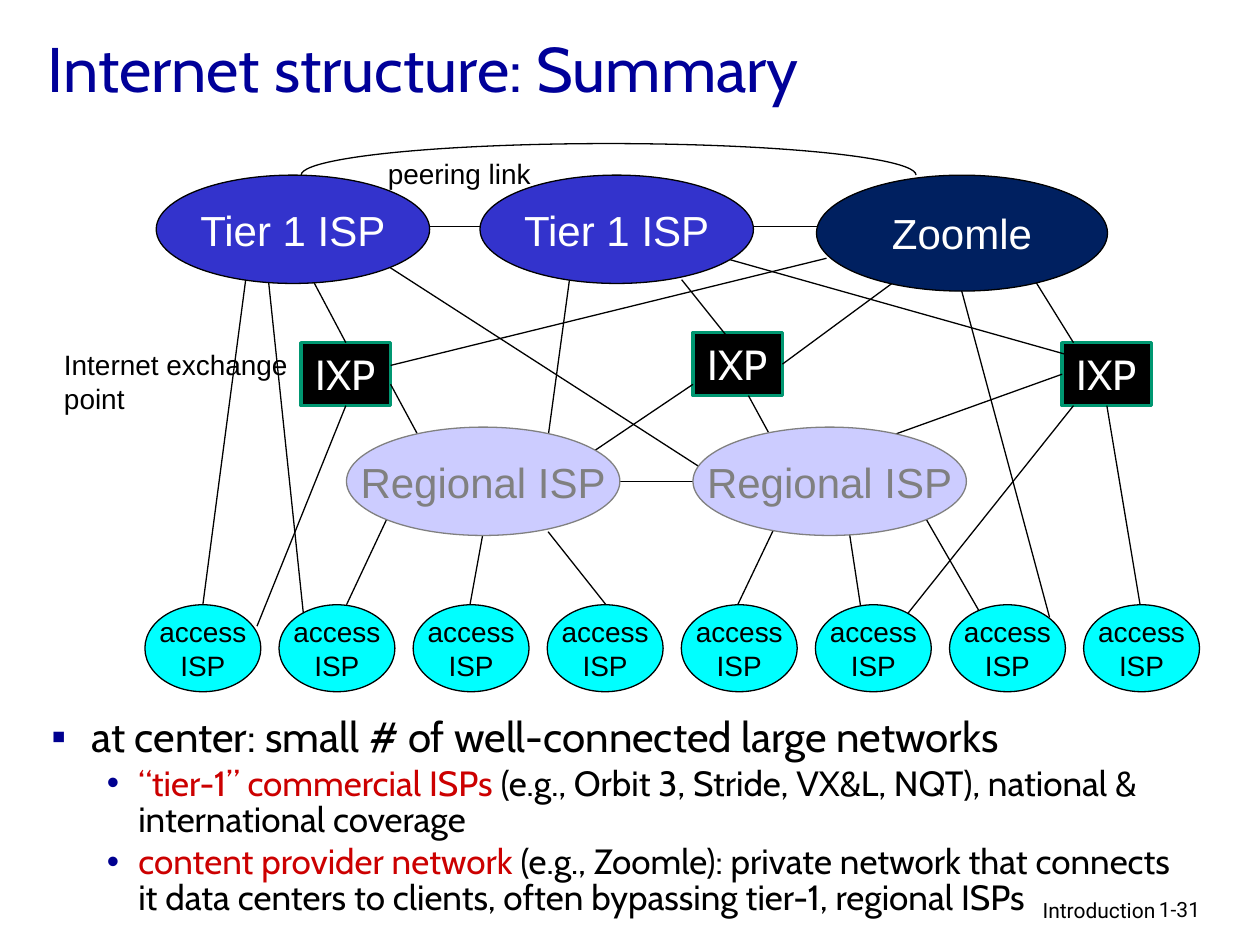
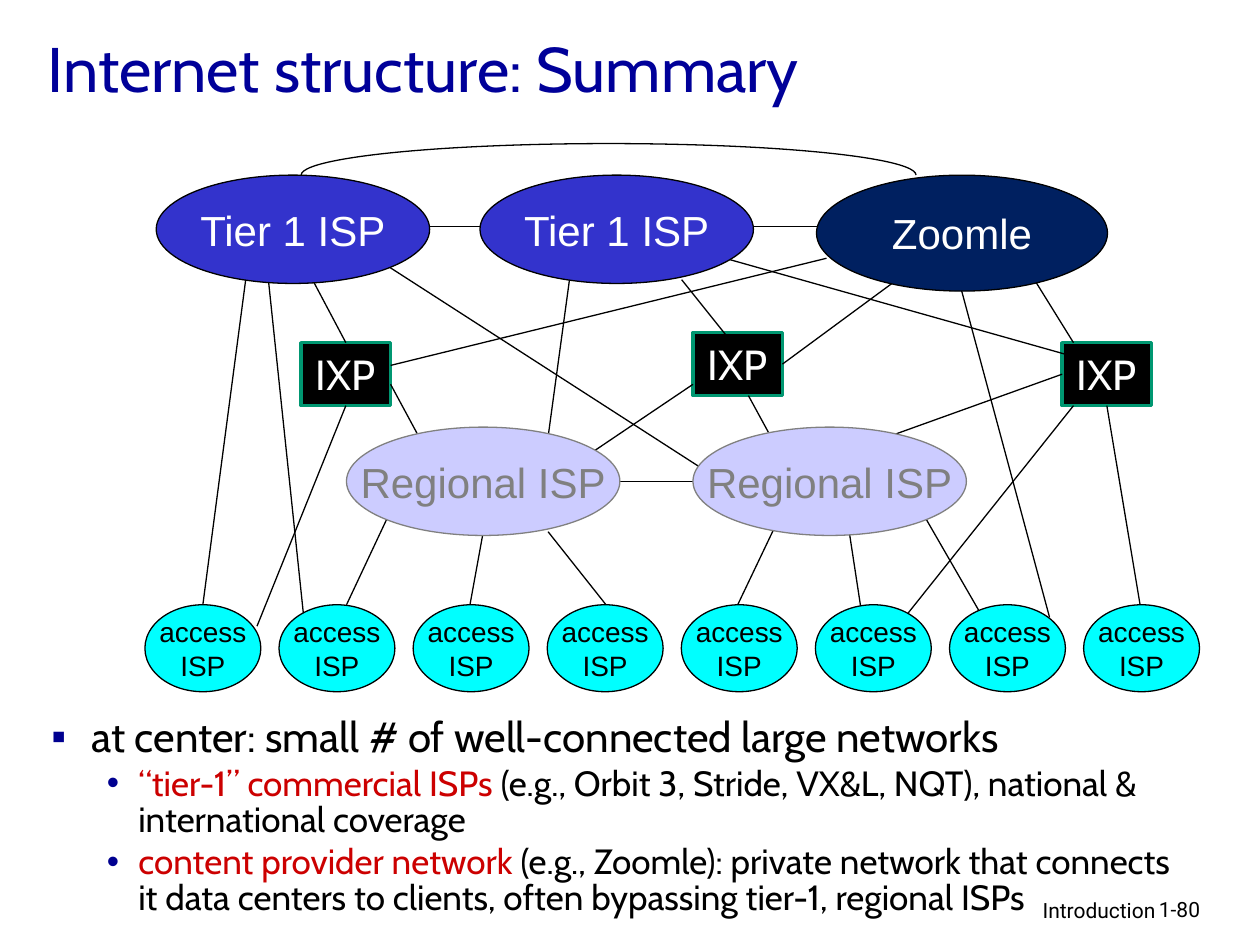
from dataclasses import dataclass
from typing import NamedTuple

from lxml.etree import SubElement
from pptx import Presentation
from pptx.dml.color import RGBColor
from pptx.enum.shapes import MSO_CONNECTOR as Wire, MSO_SHAPE as Form
from pptx.enum.text import MSO_ANCHOR as Anchor, MSO_AUTO_SIZE as Fit, PP_ALIGN as Align
from pptx.oxml.ns import qn
from pptx.util import Inches, Pt


class Style(NamedTuple):
    face: str
    size: int
    color: str


@dataclass(frozen=True)
class Theme:
    ink: str = "000000"
    accent: str = "CC0000"
    bullet: str = "000090"
    thin: float = 0.75
    title: Style = Style("Cabin", 36, "000099")
    point: Style = Style("Cabin", 24, "000000")
    detail: Style = Style("Cabin", 20, "000000")
    foot: Style = Style("Roboto", 12, "000000")
    note: Style = Style("Arial", 16, "000000")


THEME = Theme()


class Box(NamedTuple):
    left: float
    top: float
    width: float
    height: float

    def lengths(self) -> list[Inches]:
        return [Inches(value) for value in self]


@dataclass(frozen=True)
class Kind:
    """The look that all nodes of one sort share."""
    form: Form
    fill: str
    line: str
    weight: float
    style: Style
    wrap: bool = False


@dataclass(frozen=True)
class Node:
    text: str
    kind: Kind
    box: Box


class Spot(NamedTuple):
    x: float
    y: float


class Port(NamedTuple):
    """The middle of one side of an exchange point."""
    ixp: int
    side: int


class Item(NamedTuple):
    lead: str
    rest: str
    style: Style
    left: float
    hang: float
    mark: str


TOP, LEFT, BOTTOM, RIGHT = range(4)
WHITE = "FFFFFF"
GREY = "808080"

IXP = Kind(Form.RECTANGLE, "000000", "009771", 2, Style("Cabin", 24, WHITE), True)
TIER = Kind(Form.OVAL, "3333CC", THEME.ink, THEME.thin, Style("Arial", 24, WHITE))
CONTENT = Kind(Form.OVAL, "002060", THEME.ink, THEME.thin, Style("Arial", 24, WHITE))
REGION = Kind(Form.OVAL, "CCCCFF", GREY, THEME.thin, Style("Arial", 24, GREY))
ACCESS = Kind(Form.OVAL, "00FFFF", THEME.ink, THEME.thin, THEME.note)

EXCHANGES = [Node("IXP", IXP, Box(x, y, 0.71, 0.5))
             for x, y in ((2.39, 2.72), (5.5, 2.64), (8.43, 2.72))]

COUNT, FIRST, LAST = 8, 1.15, 8.6
PITCH = (LAST - FIRST) / (COUNT - 1)
NETWORKS = [
    *(Node("Tier 1 ISP", TIER, Box(x, 1.39, 2.17, 0.86)) for x in (1.24, 3.81)),
    Node("Zoomle", CONTENT, Box(6.48, 1.39, 2.31, 0.92)),
    *(Node("Regional ISP", REGION, Box(x, 3.39, 2.17, 0.86)) for x in (2.75, 5.5)),
    *(Node("access\nISP", ACCESS, Box(FIRST + i * PITCH, 4.8, 0.92, 0.69))
      for i in range(COUNT)),
]

LINKS = [
    # tier 1 networks and their peers
    (Spot(3.95, 1.8), Spot(3.37, 1.8)),
    (Spot(6.52, 1.8), Spot(5.94, 1.8)),
    (Spot(1.95, 2.22), Spot(1.61, 4.8)),
    (Spot(2.13, 2.22), Spot(2.41, 4.89)),
    (Spot(2.48, 2.22), Port(0, TOP)),
    (Spot(3.09, 2.12), Spot(5.59, 3.73)),
    (Spot(4.52, 2.22), Spot(4.35, 3.47)),
    (Spot(5.41, 2.22), Spot(5.85, 2.77)),
    (Spot(5.79, 2.06), Spot(8.45, 2.81)),
    # content provider
    (Spot(6.56, 2.05), Spot(3.1, 2.9)),
    (Spot(7.12, 2.22), Port(1, RIGHT)),
    (Spot(7.63, 2.3), Spot(8.33, 4.9)),
    (Spot(8.16, 2.14), Spot(8.52, 2.72)),
    # exchange points
    (Port(0, BOTTOM), Spot(2.04, 4.97)),
    (Spot(3.1, 3.05), Spot(3.37, 3.55)),
    (Spot(5.5, 3.05), Spot(4.61, 3.65)),
    (Spot(5.94, 3.14), Spot(6.12, 3.47)),
    (Port(2, LEFT), Spot(7.01, 3.48)),
    (Spot(8.52, 3.22), Spot(7.18, 4.9)),
    (Port(2, BOTTOM), Spot(9.05, 4.81)),
    # regional networks
    (Spot(5.5, 3.82), Spot(4.92, 3.82)),
    (Spot(3.07, 4.12), Spot(2.75, 4.8)),
    (Spot(3.83, 4.25), Spot(3.73, 4.8)),
    (Spot(4.35, 4.22), Spot(4.81, 4.8)),
    (Spot(6.17, 4.14), Spot(5.85, 4.81)),
    (Spot(6.74, 4.22), Spot(6.83, 4.81)),
    (Spot(7.35, 4.12), Spot(7.8, 4.9)),
]

ITEMS = [
    Item("", "at center: small # of well-connected large networks",
         THEME.point, 0.38, -0.32, "▪"),
    Item("“tier-1” commercial ISPs ",
         "(e.g., Orbit 3, Stride, VX&L, NQT), national & international coverage",
         THEME.detail, 0.75, -0.25, "•"),
    Item("content provider network ",
         "(e.g., Zoomle): private network that connects it data centers to clients, "
         "often bypassing tier-1, regional ISPs",
         THEME.detail, 0.75, -0.25, "•"),
]


def rgb(color: str) -> RGBColor:
    return RGBColor.from_string(color)


def dress(para, style: Style, align: Align = Align.LEFT) -> None:
    para.alignment = align
    para.font.name = style.face
    para.font.size = Pt(style.size)
    para.font.color.rgb = rgb(style.color)


def write(frame, text: str, style: Style, align: Align = Align.LEFT) -> None:
    frame.text = text
    for para in frame.paragraphs:
        dress(para, style, align)


def label(slide, text: str, style: Style, box: Box,
          align: Align = Align.LEFT, wrap: bool = True) -> None:
    frame = slide.shapes.add_textbox(*box.lengths()).text_frame
    frame.word_wrap = wrap
    write(frame, text, style, align)


def stroke(line, color: str, weight: float) -> None:
    line.color.rgb = rgb(color)
    line.width = Pt(weight)


def place(slide, node: Node):
    kind = node.kind
    shape = slide.shapes.add_shape(kind.form, *node.box.lengths())
    shape.shadow.inherit = False
    shape.fill.solid()
    shape.fill.fore_color.rgb = rgb(kind.fill)
    stroke(shape.line, kind.line, kind.weight)
    frame = shape.text_frame
    frame.word_wrap = kind.wrap
    frame.vertical_anchor = Anchor.MIDDLE
    write(frame, node.text, kind.style, Align.CENTER)
    return shape


def link(slide, start: Spot | Port, end: Spot | Port, ixps: list) -> None:
    ends = [Spot(0, 0) if isinstance(e, Port) else e for e in (start, end)]
    wire = slide.shapes.add_connector(
        Wire.STRAIGHT, *(Inches(value) for spot in ends for value in spot))
    for stop, join in ((start, wire.begin_connect), (end, wire.end_connect)):
        if isinstance(stop, Port):
            join(ixps[stop.ixp], stop.side)
    stroke(wire.line, THEME.ink, THEME.thin)
    SubElement(wire._element.spPr, qn("a:effectLst"))


def arch(slide) -> None:
    """Draw the peering arc over the top row."""
    arc = slide.shapes.add_shape(Form.ARC, *Box(2.39, 1.14, 4.88, 0.5).lengths())
    arc.adjustments[0] = 106.82
    arc.adjustments[1] = 0
    arc.shadow.inherit = False
    arc.fill.background()
    stroke(arc.line, THEME.ink, THEME.thin)


def bullet(para, item: Item) -> None:
    props = para._p.get_or_add_pPr()
    props.set("marL", str(Inches(item.left)))
    props.set("indent", str(Inches(item.hang)))
    color = SubElement(props, qn("a:buClr"))
    SubElement(color, qn("a:srgbClr"), val=THEME.bullet)
    SubElement(props, qn("a:buFont"), typeface="Arial")
    SubElement(props, qn("a:buChar"), char=item.mark)


def points(slide) -> None:
    frame = slide.shapes.add_textbox(*Box(0.25, 5.65, 9.23, 2).lengths()).text_frame
    frame.word_wrap = True
    for i, item in enumerate(ITEMS):
        para = frame.add_paragraph() if i else frame.paragraphs[0]
        para.level = 1 if item.lead else 0
        bullet(para, item)
        para.line_spacing = 0.85
        if i:
            para.space_before = Pt(0.2 * item.style.size)
        dress(para, item.style)
        if item.lead:
            run = para.add_run()
            run.text = item.lead
            run.font.color.rgb = rgb(THEME.accent)
        para.add_run().text = item.rest


def heading(slide, text: str) -> None:
    title = slide.shapes.title
    title.left, title.top, title.width, title.height = Box(0.28, 0.18, 8.85, 0.71).lengths()
    frame = title.text_frame
    frame.auto_size = Fit.NONE
    frame.vertical_anchor = Anchor.MIDDLE
    write(frame, text, THEME.title)


def summary(deck, page: str, notes: bool) -> None:
    """Add the network map; notes adds the two labels that explain it."""
    slide = deck.slides.add_slide(deck.slide_layouts.get_by_name("Title Only"))
    heading(slide, "Internet structure: Summary")
    label(slide, "Introduction", THEME.foot, Box(6.1, 7.07, 3.17, 0.31), Align.RIGHT)
    label(slide, page, THEME.foot, Box(9.1, 7.07, 0.74, 0.3))
    points(slide)
    ixps = [place(slide, node) for node in EXCHANGES]
    for start, end in LINKS:
        link(slide, start, end, ixps)
    arch(slide)
    for node in NETWORKS:
        place(slide, node)
    if notes:
        label(slide, "peering link", THEME.note, Box(2.98, 1.19, 1.35, 0.37), wrap=False)
        label(slide, "Internet exchange point", THEME.note, Box(0.41, 2.71, 2.03, 0.64))


def main() -> None:
    deck = Presentation()
    deck.slide_width, deck.slide_height = Inches(10), Inches(7.5)
    summary(deck, "1-31", notes=True)
    summary(deck, "1-80", notes=False)
    deck.save("out.pptx")


if __name__ == "__main__":
    main()
